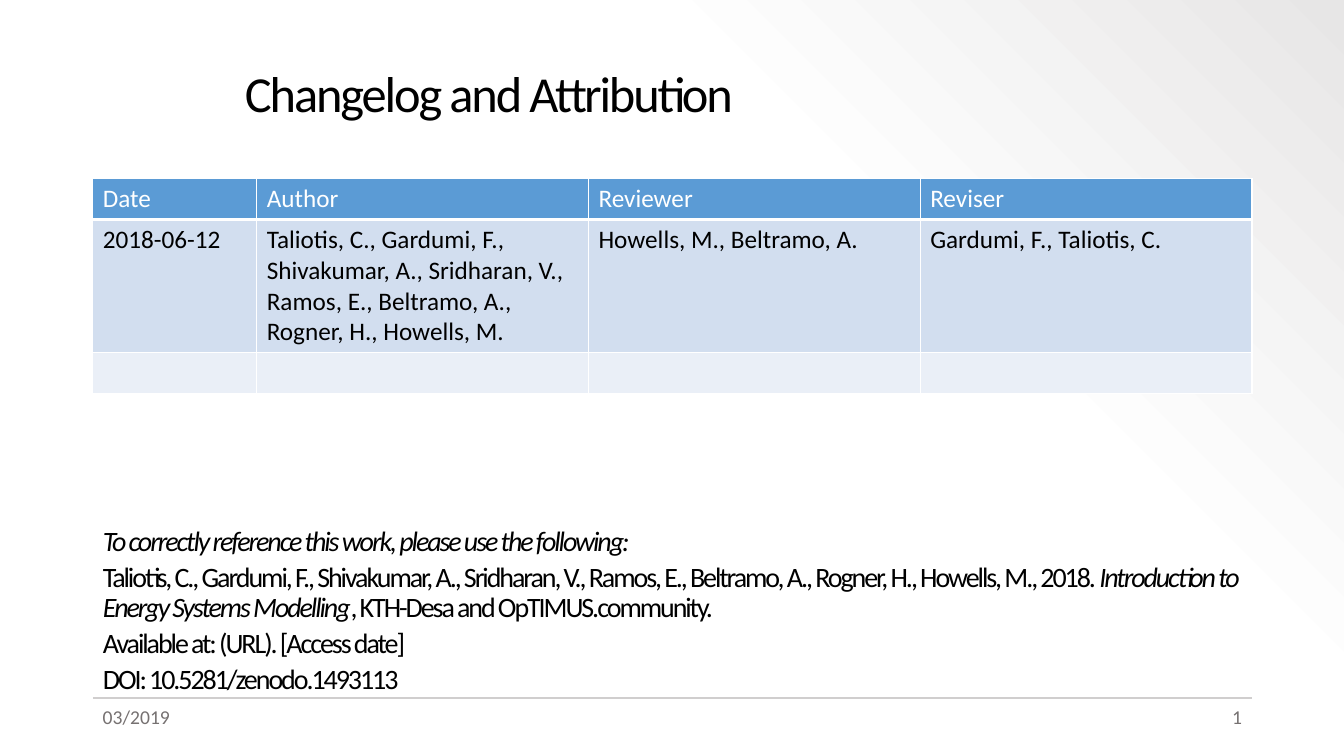
from copy import deepcopy

from lxml import etree
from pptx import Presentation
from pptx.dml.color import RGBColor
from pptx.enum.shapes import MSO_CONNECTOR
from pptx.enum.text import MSO_ANCHOR, MSO_AUTO_SIZE, PP_ALIGN
from pptx.oxml.ns import qn
from pptx.util import Cm, Pt

LEFT, RIGHT = PP_ALIGN.LEFT, PP_ALIGN.RIGHT
TOP, MIDDLE, BOTTOM = MSO_ANCHOR.TOP, MSO_ANCHOR.MIDDLE, MSO_ANCHOR.BOTTOM
NO_AUTOFIT = MSO_AUTO_SIZE.NONE
STRAIGHT = MSO_CONNECTOR.STRAIGHT

BLACK = RGBColor(0x00, 0x00, 0x00)
WHITE = RGBColor(0xFF, 0xFF, 0xFF)
OFF_WHITE = RGBColor(0xFD, 0xFD, 0xFD)
LIGHT_GREY = RGBColor(0xE7, 0xE6, 0xE6)
RULE_GREY = RGBColor(0xD0, 0xCE, 0xCE)
FOOTER_GREY = RGBColor(0x76, 0x71, 0x71)
HEADER_BLUE = RGBColor(0x5B, 0x9B, 0xD5)
BAND_DARK = RGBColor(0xD2, 0xDE, 0xEF)
BAND_LIGHT = RGBColor(0xEA, 0xEF, 0xF7)

MARGIN, CONTENT_WIDTH = 2.34, 29.21
FOOTER_TOP = 17.65
COLUMN_WIDTHS = [4.13, 8.36, 8.36, 8.36]
ROW_HEIGHTS = [1.03, 3.3, 1.03]
ROW_FILLS = [HEADER_BLUE, BAND_DARK, BAND_LIGHT]

CHANGELOG = [
    ["Date", "Author", "Reviewer", "Reviser"],
    ["2018-06-12",
     "Taliotis, C., Gardumi, F., Shivakumar, A., Sridharan, V., "
     "Ramos, E., Beltramo, A., Rogner, H., Howells, M.",
     "Howells, M., Beltramo, A.", "Gardumi, F., Taliotis, C."],
    ["", "", "", ""],
]

# Each paragraph is a list of (text, italic) runs.
REFERENCE = [
    [("To correctly reference this work, please use the following:", True)],
    [("Taliotis, C., Gardumi, F., Shivakumar, A., Sridharan, V., Ramos, E., "
      "Beltramo, A., Rogner, H., Howells, M., 2018. ", False),
     ("Introduction to Energy Systems Modelling", True),
     (", KTH-Desa and OpTIMUS.community.", False)],
    [("Available at: (URL). [Access date]", False)],
    [("DOI: 10.5281/zenodo.1493113", False)],
]


class SlideBuilder:
    """Holds the text style and the slide being filled."""

    font = "Calibri"
    tracking = "-150"

    def __init__(self, slide):
        self.slide = slide

    def background(self, stops, angle):
        fill = self.slide.background.fill
        fill.gradient()
        fill.gradient_angle = angle
        first = self.slide.background._cSld.find(".//" + qn("a:gs"))
        first.addnext(deepcopy(first))
        for stop, (position, color) in zip(fill.gradient_stops, stops):
            stop.position = position
            stop.color.rgb = color

    def run(self, p, text, size, color, italic=False, tight=False):
        r = p.add_run()
        r.text = text
        r.font.name, r.font.size = self.font, Pt(size)
        r.font.bold, r.font.italic = False, italic
        r.font.color.rgb = color
        if tight:
            r.font._element.set("spc", self.tracking)

    def placeholder(self, sp, box, paragraphs, size, anchor, space_before=0):
        sp.left, sp.top, sp.width, sp.height = map(Cm, box)
        tf = sp.text_frame
        tf.word_wrap, tf.auto_size, tf.vertical_anchor = True, NO_AUTOFIT, anchor
        for i, runs in enumerate(paragraphs):
            p = tf.add_paragraph() if i else tf.paragraphs[0]
            pPr = p._p.get_or_add_pPr()
            pPr.set("marL", "0")
            pPr.set("indent", "0")
            etree.SubElement(pPr, qn("a:buNone"))
            p.alignment, p.line_spacing = LEFT, 0.9
            p.space_before = Pt(space_before if i else 0)
            for text, italic in runs:
                self.run(p, text, size, BLACK, italic, tight=True)

    def footer(self, left, width, text, align):
        sp = self.slide.shapes.add_textbox(
            Cm(left), Cm(FOOTER_TOP), Cm(width), Cm(1.02))
        tf = sp.text_frame
        tf.word_wrap, tf.vertical_anchor = True, TOP
        p = tf.paragraphs[0]
        p.alignment = align
        self.run(p, text, 14, FOOTER_GREY)

    def rule(self, left, top, width):
        line = self.slide.shapes.add_connector(
            STRAIGHT, Cm(left), Cm(top), Cm(left + width), Cm(top))
        line.line.color.rgb, line.line.width = RULE_GREY, Pt(1.5)
        etree.SubElement(line._element.spPr, qn("a:effectLst"))

    def border(self, cell, side, points):
        ln = etree.SubElement(cell._tc.get_or_add_tcPr(), qn("a:ln" + side),
                              w=str(Pt(points)))
        fill = etree.SubElement(ln, qn("a:solidFill"))
        etree.SubElement(fill, qn("a:srgbClr"), val=str(WHITE))

    def table(self, left, top, rows):
        table = self.slide.shapes.add_table(
            len(rows), len(rows[0]), Cm(left), Cm(top),
            Cm(sum(COLUMN_WIDTHS)), Cm(sum(ROW_HEIGHTS))).table
        for column, width in zip(table.columns, COLUMN_WIDTHS):
            column.width = Cm(width)
        for i, texts in enumerate(rows):
            table.rows[i].height = Cm(ROW_HEIGHTS[i])
            for j, text in enumerate(texts):
                cell = table.cell(i, j)
                for side in "LRTB":
                    header_edge = (i, side) in [(0, "B"), (1, "T")]
                    self.border(cell, side, 3 if header_edge else 1)
                cell.fill.solid()
                cell.fill.fore_color.rgb = ROW_FILLS[i]
                if text:
                    self.run(cell.text_frame.paragraphs[0], text, 18,
                             BLACK if i else WHITE)


def main():
    prs = Presentation()
    prs.slide_width, prs.slide_height = Cm(33.87), Cm(19.05)
    s = prs.slides.add_slide(prs.slide_layouts[1])
    title, body = s.placeholders
    builder = SlideBuilder(s)
    builder.background([(0, WHITE), (0.69, OFF_WHITE), (1, LIGHT_GREY)], 45)
    builder.rule(MARGIN, 17.58, CONTENT_WIDTH)
    builder.placeholder(title, (5.92, 0.91, 25.63, 3.05),
                        [[("Changelog and Attribution", False)]], 36, MIDDLE)
    builder.placeholder(body, (MARGIN, 12.75, CONTENT_WIDTH, 4.9),
                        REFERENCE, 20, BOTTOM, space_before=4)
    builder.table(MARGIN, 4.5, CHANGELOG)
    builder.footer(MARGIN, 3.3, "03/2019", LEFT)
    builder.footer(MARGIN + CONTENT_WIDTH - 7.62, 7.62, "1", RIGHT)
    prs.save("out.pptx")


if __name__ == "__main__":
    main()
